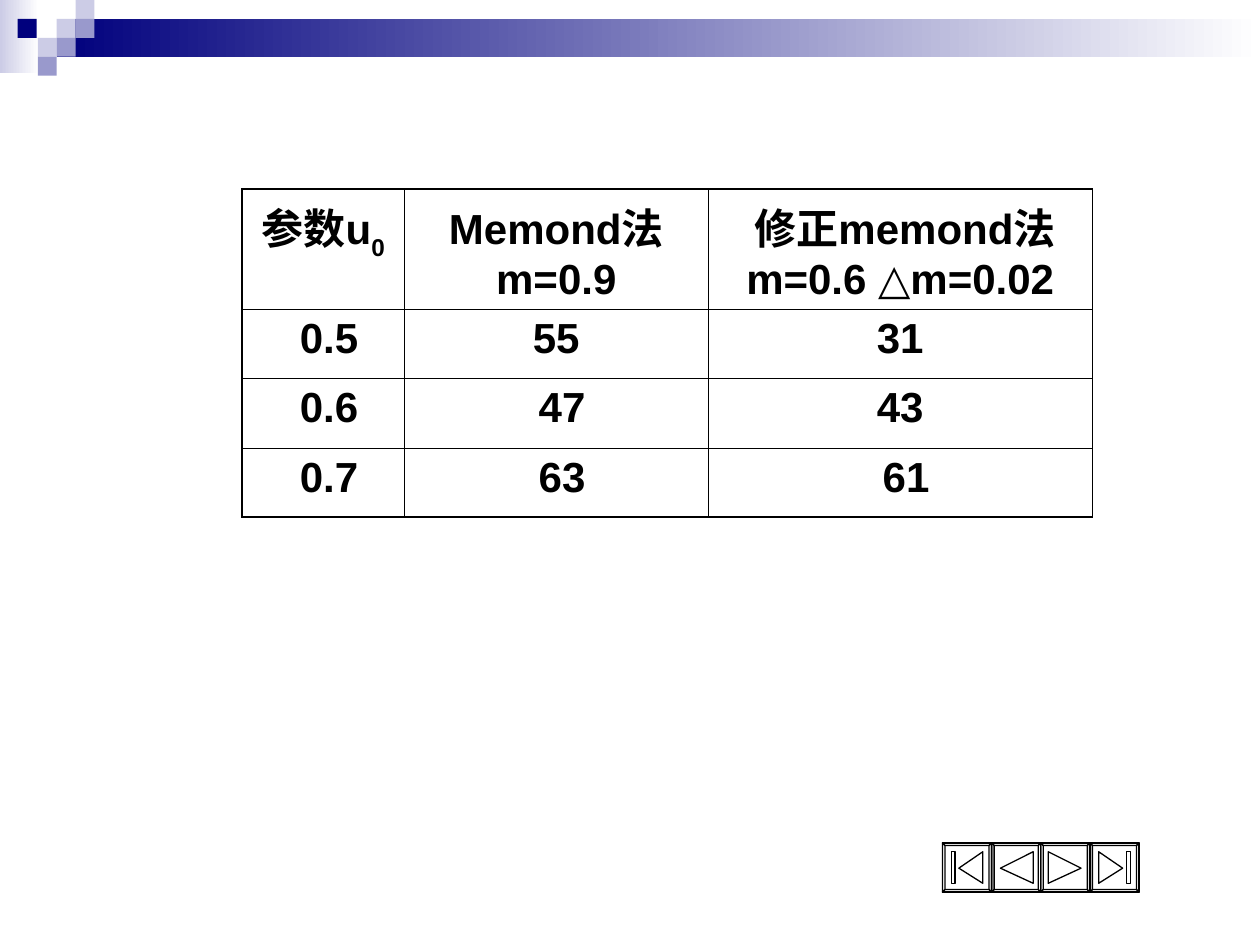
from dataclasses import dataclass

from lxml import etree
from pptx import Presentation
from pptx.dml.color import RGBColor as Rgb
from pptx.enum.shapes import MSO_SHAPE as Shape
from pptx.enum.text import PP_ALIGN as Align
from pptx.oxml.ns import qn
from pptx.util import Inches, Pt


@dataclass(frozen=True)
class Theme:
    font: str = "Arial"
    size: float = 24
    ink: str = "000000"
    paper: str = "FFFFFF"
    navy: str = "00007D"
    lilac: str = "CCCCE6"
    violet: str = "9999CC"
    outer_border: float = 1.08
    inner_border: float = 0.45
    button_line: float = 0.75


HEADER = [
    [("参数u", False), ("0", True)],
    [("Memond法 m=0.9", False)],
    [(" 修正memond法m=0.6 △m=0.02", False)],
]
RESULTS = [(" 0.5", "55", "31"), (" 0.6", " 47", "43"), (" 0.7", " 63", " 61")]
COLUMNS = [1.29, 2.41, 3.05]
ROWS = [0.9, 0.55, 0.55, 0.55]

BUTTON = 0.39
BEVEL = 0.02
TRIANGLE = [(0.07, 0.2), (0.33, 0.07), (0.33, 0.32)]
SHORT_TRIANGLE = [(0.13, 0.2), (0.32, 0.07), (0.32, 0.32)]
BAR = [(0.07, 0.07), (0.1, 0.07), (0.1, 0.32), (0.07, 0.32)]


def mirrored(contours):
    return [[(BUTTON - x, y) for x, y in contour] for contour in contours]


def bevel_contours():
    """Outer square of a button, then its four bevelled edges."""
    near, far = BEVEL, BUTTON - BEVEL
    outer = [(0, 0), (BUTTON, 0), (BUTTON, BUTTON), (0, BUTTON)]
    inner = [(near, near), (far, near), (far, far), (near, far)]
    edges = []
    for side in range(4):
        after = (side + 1) % 4
        edges.append([outer[side], outer[after], inner[after], inner[side]])
    return [outer] + edges


class SlideBuilder:
    def __init__(self, slide, theme):
        self.slide = slide
        self.theme = theme

    def block(self, left, top, width, height, color, fade_to=None):
        box = self.slide.shapes.add_shape(
            Shape.RECTANGLE, Inches(left), Inches(top), Inches(width), Inches(height))
        box.shadow.inherit = False
        box.line.fill.background()
        if fade_to is None:
            box.fill.solid()
            box.fill.fore_color.rgb = Rgb.from_string(color)
            return
        box.fill.gradient()
        box.fill.gradient_angle = 0
        for stop, position, shade in zip(box.fill.gradient_stops, (0, 1), (color, fade_to)):
            stop.position = position
            stop.color.rgb = Rgb.from_string(shade)

    def button(self, left, top, icon):
        contours = [[(Inches(left + x), Inches(top + y)) for x, y in contour]
                    for contour in bevel_contours() + icon]
        builder = self.slide.shapes.build_freeform(*contours[0][0])
        for number, contour in enumerate(contours):
            if number:
                builder.move_to(*contour[0])
            builder.add_line_segments(contour[1:], close=True)
        shape = builder.convert_to_shape()
        shape.shadow.inherit = False
        shape.fill.solid()
        shape.fill.fore_color.rgb = Rgb.from_string(self.theme.paper)
        shape.line.color.rgb = Rgb.from_string(self.theme.ink)
        shape.line.width = Pt(self.theme.button_line)

    def table(self, left, top, columns, rows, contents):
        frame = self.slide.shapes.add_table(
            len(rows), len(columns), Inches(left), Inches(top),
            Inches(sum(columns)), Inches(sum(rows)))
        table = frame.table
        table.first_row = table.horz_banding = False
        for column, width in zip(table.columns, columns):
            column.width = Inches(width)
        for row, height in zip(table.rows, rows):
            row.height = Inches(height)
        last_row, last_column = len(rows) - 1, len(columns) - 1
        for r, line in enumerate(contents):
            for c, runs in enumerate(line):
                cell = table.cell(r, c)
                self.cell_text(cell, runs)
                outer_sides = {"lnL": c == 0, "lnR": c == last_column,
                               "lnT": r == 0, "lnB": r == last_row}
                self.cell_borders(cell, outer_sides)

    def cell_text(self, cell, runs):
        cell.fill.solid()
        cell.fill.fore_color.rgb = Rgb.from_string(self.theme.paper)
        para = cell.text_frame.paragraphs[0]
        para.alignment = Align.CENTER
        for text, subscript in runs:
            span = para.add_run()
            span.text = text
            span.font.name = self.theme.font
            span.font.size = Pt(self.theme.size)
            span.font.bold = True
            span.font.color.rgb = Rgb.from_string(self.theme.ink)
            if subscript:
                span.font._element.set("baseline", "-30000")

    def cell_borders(self, cell, outer_sides):
        """Draw each side, heavier where it lies on the table's edge."""
        properties = cell._tc.get_or_add_tcPr()
        for position, (side, is_outer) in enumerate(outer_sides.items()):
            weight = self.theme.outer_border if is_outer else self.theme.inner_border
            border = etree.Element(qn(f"a:{side}"), w=str(Pt(weight)))
            fill = etree.SubElement(border, qn("a:solidFill"))
            etree.SubElement(fill, qn("a:srgbClr"), val=self.theme.ink)
            properties.insert(position, border)


def main():
    theme = Theme()
    deck = Presentation()
    deck.slide_width, deck.slide_height = Inches(10), Inches(7.5)
    page = SlideBuilder(deck.slides.add_slide(deck.slide_layouts[6]), theme)

    page.block(0, 0, 0.31, 0.58, theme.lilac, fade_to=theme.paper)
    page.block(0.45, 0.15, 9.55, 0.3, theme.navy, fade_to=theme.paper)
    squares = [
        (0.45, 0.15, theme.lilac), (0.6, 0, theme.lilac), (0.6, 0.15, theme.violet),
        (0.3, 0.3, theme.lilac), (0.14, 0.15, theme.navy),
        (0.45, 0.3, theme.violet), (0.3, 0.45, theme.violet),
    ]
    for left, top, color in squares:
        page.block(left, top, 0.15, 0.15, color)

    first, back = [SHORT_TRIANGLE, BAR], [TRIANGLE]
    for number, icon in enumerate([first, back, mirrored(back), mirrored(first)]):
        page.button(7.48 + number * 0.39, 6.69, icon)

    results = [[[(value, False)] for value in line] for line in RESULTS]
    page.table(1.92, 1.5, COLUMNS, ROWS, [HEADER] + results)
    deck.save("out.pptx")


if __name__ == "__main__":
    main()
